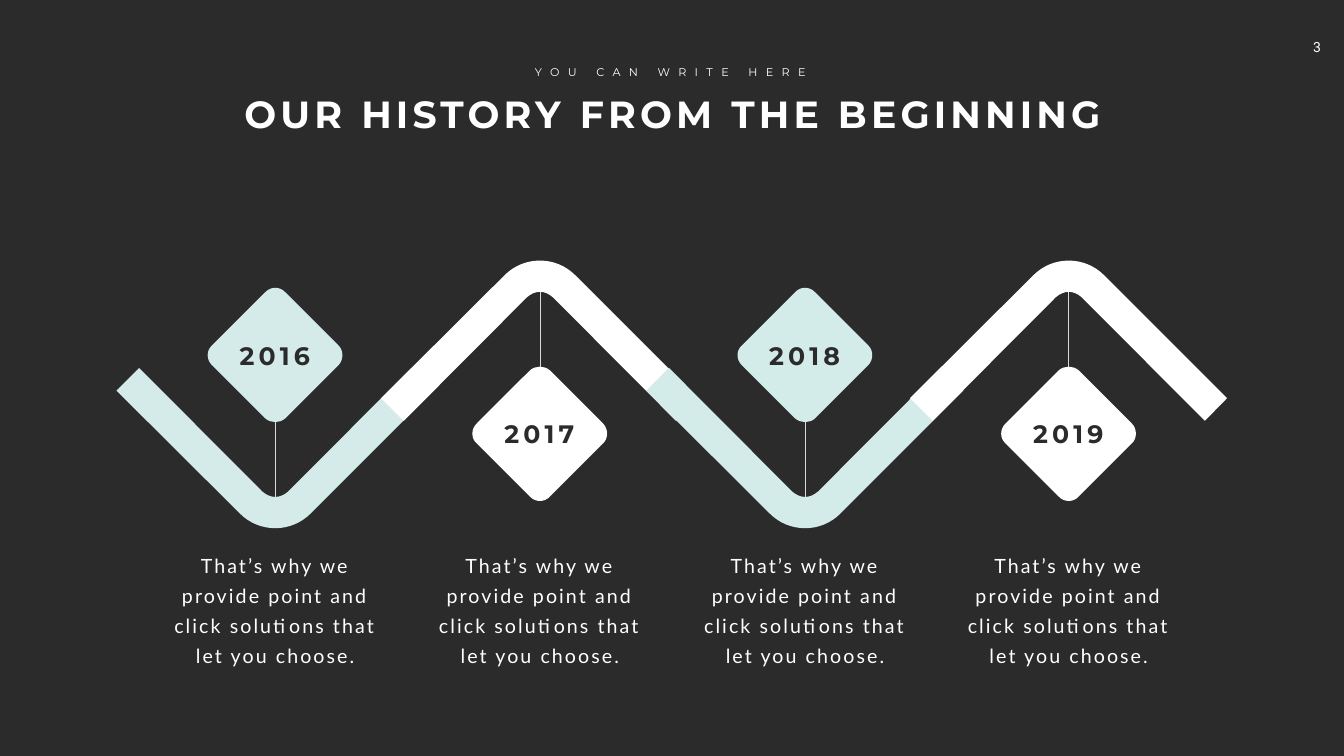
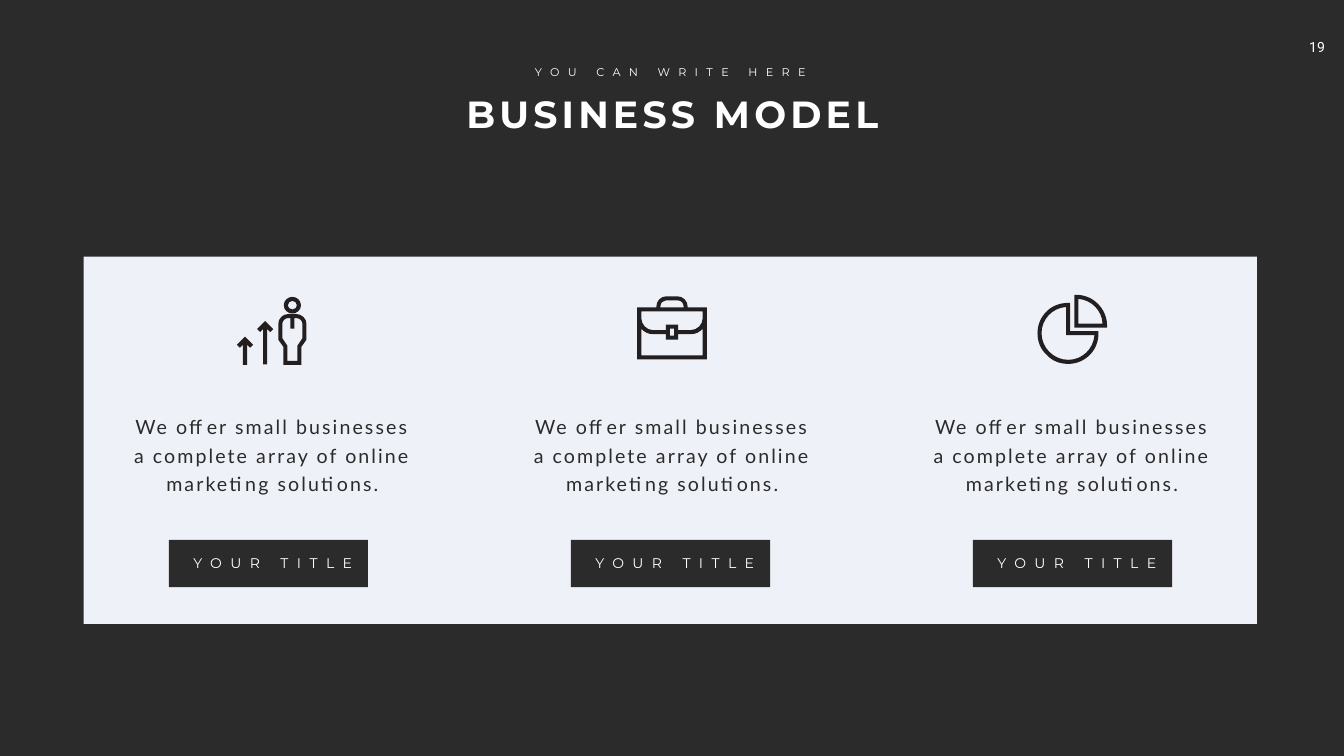
from lxml.etree import SubElement
from pptx import Presentation
from pptx.dml.color import RGBColor as Rgb
from pptx.enum.shapes import MSO_CONNECTOR as Conn, MSO_SHAPE as Shape
from pptx.enum.text import MSO_ANCHOR as Anchor, MSO_AUTO_SIZE as Fit, PP_ALIGN as Align
from pptx.oxml.ns import qn
from pptx.util import Inches, Pt


class Theme:
    dark = Rgb.from_string("2B2B2B")
    white = Rgb.from_string("FFFFFF")
    mint = Rgb.from_string("D4EBEA")
    sage = Rgb.from_string("D3EBE9")
    pale = Rgb.from_string("EFF1F8")
    rule = Rgb.from_string("D9D9D9")
    ink = Rgb.from_string("231F20")
    # font, size, colour, bold, letter spacing, line spacing, wrap
    title = ("Montserrat", 54, white, True, 6, None, False)
    kicker = ("Montserrat", 16, white, False, 12, None, False)
    number = ("Roboto", 20, white, False, 0, None, True)
    year = ("Montserrat", 36, dark, True, 6, None, False)
    story = ("Lato", 28, white, False, 3, 43, True)
    offer = ("Lato", 28, dark, False, 3, 40.8, True)
    button = ("Montserrat", 20, white, False, 12, None, False)


def write(box, text, at, style):
    """Place a text box or placeholder, fill it and format it."""
    font, size, color, bold, gap, lead, wrap = style
    box.left, box.top, box.width, box.height = [Inches(v) for v in at]
    frame = box.text_frame
    frame.text = text
    frame.word_wrap = wrap
    frame.auto_size = Fit.SHAPE_TO_FIT_TEXT
    frame.vertical_anchor = Anchor.TOP
    para = frame.paragraphs[0]
    para.alignment = Align.CENTER
    if lead:
        para.line_spacing = Pt(lead)
    run = para.runs[0]
    run.font.name, run.font.size, run.font.bold = font, Pt(size), bold
    run.font.color.rgb = color
    if gap:
        run.font._element.set("spc", str(gap * 100))


def draw(slide, loops, color, dx=0, flip=None):
    """Draw closed loops; a point is (x, y), a curve has three points.

    flip gives the sum of a height and its mirrored height.
    """
    pen = None
    for loop in loops:
        flat = [v for part in loop for v in part]
        dots = [(Inches(x + dx), Inches(flip - y if flip else y))
                for x, y in zip(flat[::2], flat[1::2])]
        if pen is None:
            pen = slide.shapes.build_freeform(*dots[0])
        else:
            pen.move_to(*dots[0])
        pen.add_line_segments(dots[1:], close=True)
    shape = pen.convert_to_shape()
    # Join the three segments of each curve into one Bézier
    legs = iter(list(shape._element.iter(qn("a:lnTo"))))
    for part in (part for loop in loops for part in loop[1:]):
        leg = next(legs)
        if len(part) == 6:
            leg.tag = qn("a:cubicBezTo")
            for extra in (next(legs), next(legs)):
                leg.append(extra[0])
                extra.getparent().remove(extra)
    shape.shadow.inherit = False
    shape.fill.solid()
    shape.fill.fore_color.rgb = color
    shape.line.fill.background()


deck = Presentation()
deck.slide_width, deck.slide_height = Inches(26.66), Inches(15)
back = deck.slide_master.background.fill
back.solid()
back.fore_color.rgb = Theme.dark

# Headings and page numbers
heads = [("OUR HISTORY FROM THE BEGINNING", (4.61, 1.74, 17.48, 1.01), "3"),
         ("BUSINESS MODEL", (9.07, 1.74, 8.54, 1.01), "19")]
for head, at, page in heads:
    slide = deck.slides.add_slide(deck.slide_layouts[5])
    write(slide.shapes.title, head, at, Theme.title)
    box = slide.shapes.add_textbox(0, 0, 0, 0)
    write(box, "YOU CAN WRITE HERE", (10.41, 1.24, 5.78, 0.37), Theme.kicker)
    box = slide.shapes.add_textbox(0, 0, 0, 0)
    write(box, page, (25.69, 0.67, 1.01, 0.54), Theme.number)
    frame = box.text_frame
    frame.margin_left, frame.margin_right = Inches(0.2), Inches(0.34)
    frame.margin_top = frame.margin_bottom = Inches(0.1)
past, model = deck.slides

# Timeline outlines, centred on x = 0
gem = [(1.25, 6.85), (1.36, 6.95, 1.36, 7.14, 1.25, 7.25),
       (0.2, 8.3), (0.09, 8.4, -0.09, 8.4, -0.2, 8.3),
       (-1.25, 7.25), (-1.37, 7.14, -1.37, 6.95, -1.25, 6.85),
       (-0.2, 5.8), (-0.09, 5.68, 0.09, 5.68, 0.2, 5.8)]
bend = [(2.7, 7.3), (0.26, 9.75), (0.18, 9.82, 0.09, 9.86, 0, 9.86),
        (-0.09, 9.86, -0.18, 9.82, -0.26, 9.75), (-2.7, 7.3),
        (-3.15, 7.75), (-0.7, 10.19), (-0.51, 10.38, -0.26, 10.48, 0, 10.48),
        (0.26, 10.48, 0.51, 10.38, 0.7, 10.19), (3.14, 7.75)]

# Timeline stops; every second one is mirrored
stops = [("2016", 5.46, Theme.mint), ("2017", 10.71, Theme.white),
         ("2018", 15.97, Theme.sage), ("2019", 21.2, Theme.white)]
for i, (year, mid, color) in enumerate(stops):
    flip, stem, top = (15.65, 5.65, 8.25) if i % 2 else (None, 8.21, 6.7)
    line = past.shapes.add_connector(Conn.STRAIGHT, Inches(mid), Inches(stem),
                                     Inches(mid), Inches(stem + 1.72))
    line.line.color.rgb, line.line.width = Theme.rule, Pt(1)
    SubElement(line._element.spPr, qn("a:effectLst"))
    draw(past, [gem], color, mid, flip)
    draw(past, [bend], color, mid, flip)
    write(past.shapes.add_textbox(0, 0, 0, 0), year, (mid - 0.85, top, 1.68, 0.71), Theme.year)
    write(past.shapes.add_textbox(0, 0, 0, 0),
          "That’s why we provide point and click solutions that let you choose.",
          (mid - 2.26, 10.81, 4.52, 2.46), Theme.story)

# Model panel and its three columns
plates = [(1.66, 5.09, 23.27, 7.29, Theme.pale)]
plates += [(3.35 + 7.975 * i, 10.71, 3.95, 0.94, Theme.dark) for i in range(3)]
for *at, color in plates:
    plate = model.shapes.add_shape(Shape.RECTANGLE, *[Inches(v) for v in at])
    plate.shadow.inherit = False
    plate.fill.solid()
    plate.fill.fore_color.rgb = color
    plate.line.fill.background()
for i in range(3):
    write(model.shapes.add_textbox(0, 0, 0, 0), "YOUR TITLE",
          (3.63 + 7.975 * i, 10.96, 3.56, 0.44), Theme.button)
    write(model.shapes.add_textbox(0, 0, 0, 0),
          "We offer small businesses a complete array of online marketing solutions.",
          (2.53 + 7.93 * i, 8.09, 5.75, 1.77), Theme.offer)

# Icon outlines
case = [
    [(13.7, 6.55), (13.45, 6.55), (13.45, 6.44), (13.21, 6.44), (13.21, 6.55), (12.95, 6.55),
     (12.83, 6.55, 12.72, 6.44, 12.72, 6.31), (12.72, 6.18), (13.94, 6.18), (13.94, 6.31),
     (13.94, 6.44, 13.83, 6.55, 13.7, 6.55)],
    [(13.29, 6.52), (13.37, 6.52), (13.37, 6.66), (13.29, 6.66)],
    [(13.94, 7.05), (12.72, 7.05), (12.72, 6.52), (12.78, 6.59, 12.86, 6.63, 12.95, 6.63),
     (13.21, 6.63), (13.21, 6.74), (13.45, 6.74), (13.45, 6.63), (13.7, 6.63),
     (13.8, 6.63, 13.88, 6.59, 13.94, 6.52)],
    [(13.1, 6.08), (13.1, 6.01, 13.15, 5.96, 13.21, 5.96), (13.44, 5.96),
     (13.51, 5.96, 13.56, 6.01, 13.56, 6.08), (13.56, 6.1), (13.1, 6.1)],
    [(13.64, 6.1), (13.64, 6.08), (13.64, 5.97, 13.55, 5.88, 13.44, 5.88), (13.21, 5.88),
     (13.11, 5.88, 13.02, 5.97, 13.02, 6.08), (13.02, 6.1), (12.64, 6.1), (12.64, 7.13),
     (14.02, 7.13), (14.02, 6.1)]]
body = [
    [(6, 6.71), (5.9, 6.86), (5.9, 7.16), (5.7, 7.16), (5.7, 6.86), (5.6, 6.71), (5.6, 6.43),
     (5.6, 6.36, 5.66, 6.31, 5.72, 6.31), (5.76, 6.31), (5.76, 6.52), (5.84, 6.52),
     (5.84, 6.31), (5.87, 6.31), (5.94, 6.31, 6, 6.36, 6, 6.43)],
    [(5.87, 6.23), (5.72, 6.23), (5.61, 6.23, 5.52, 6.32, 5.52, 6.43), (5.52, 6.74),
     (5.62, 6.88), (5.62, 7.24), (5.98, 7.24), (5.98, 6.88), (6.08, 6.74), (6.08, 6.43),
     (6.08, 6.32, 5.99, 6.23, 5.87, 6.23)]]
face = [
    [(5.8, 5.97), (5.85, 5.97, 5.89, 6.01, 5.89, 6.06), (5.89, 6.1, 5.85, 6.14, 5.8, 6.14),
     (5.75, 6.14, 5.71, 6.1, 5.71, 6.06), (5.71, 6.01, 5.75, 5.97, 5.8, 5.97)],
    [(5.8, 6.22), (5.89, 6.22, 5.97, 6.15, 5.97, 6.06), (5.97, 5.96, 5.89, 5.89, 5.8, 5.89),
     (5.71, 5.89, 5.63, 5.96, 5.63, 6.06), (5.63, 6.15, 5.71, 6.22, 5.8, 6.22)]]
pie = [
    [(21.15, 6.09), (20.87, 6.11, 20.66, 6.34, 20.66, 6.61),
     (20.66, 6.9, 20.9, 7.14, 21.19, 7.14), (21.46, 7.14, 21.69, 6.93, 21.71, 6.65),
     (21.15, 6.65)],
    [(21.19, 7.22), (21.02, 7.22, 20.87, 7.16, 20.76, 7.04),
     (20.64, 6.93, 20.58, 6.78, 20.58, 6.61), (20.58, 6.45, 20.64, 6.3, 20.76, 6.18),
     (20.87, 6.07, 21.02, 6.01, 21.19, 6.01), (21.23, 6.01), (21.23, 6.57), (21.79, 6.57),
     (21.79, 6.61), (21.79, 6.78, 21.73, 6.93, 21.62, 7.04),
     (21.5, 7.16, 21.35, 7.22, 21.19, 7.22)]]
wedge = [
    [(21.39, 6.42), (21.87, 6.42), (21.86, 6.16, 21.65, 5.95, 21.39, 5.93)],
    [(21.96, 6.5), (21.31, 6.5), (21.31, 5.85), (21.35, 5.85),
     (21.51, 5.85, 21.66, 5.91, 21.78, 6.03), (21.89, 6.14, 21.96, 6.29, 21.96, 6.46)]]

# Icons, with two rising arrows beside the person
icons = [case, body, face]
for x, top, foot in [(5.26, 6.37, 7.23), (4.86, 6.68, 7.24)]:
    icons.append([[(x - 0.16, top + 0.16), (x - 0.1, top + 0.22), (x - 0.04, top + 0.16),
                   (x - 0.04, foot), (x + 0.04, foot), (x + 0.04, top + 0.16),
                   (x + 0.1, top + 0.22), (x + 0.16, top + 0.16), (x, top)]])
for icon in icons + [pie, wedge]:
    draw(model, icon, Theme.ink)

deck.save("out.pptx")
